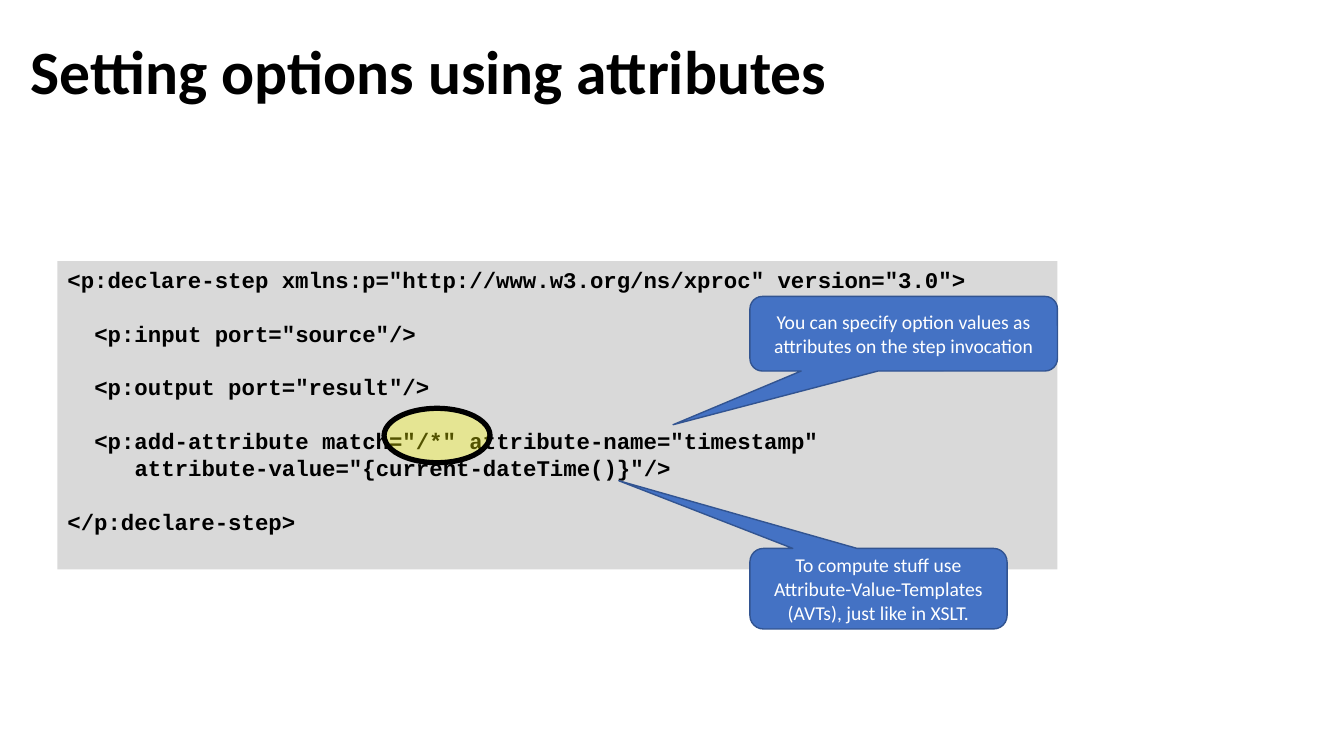
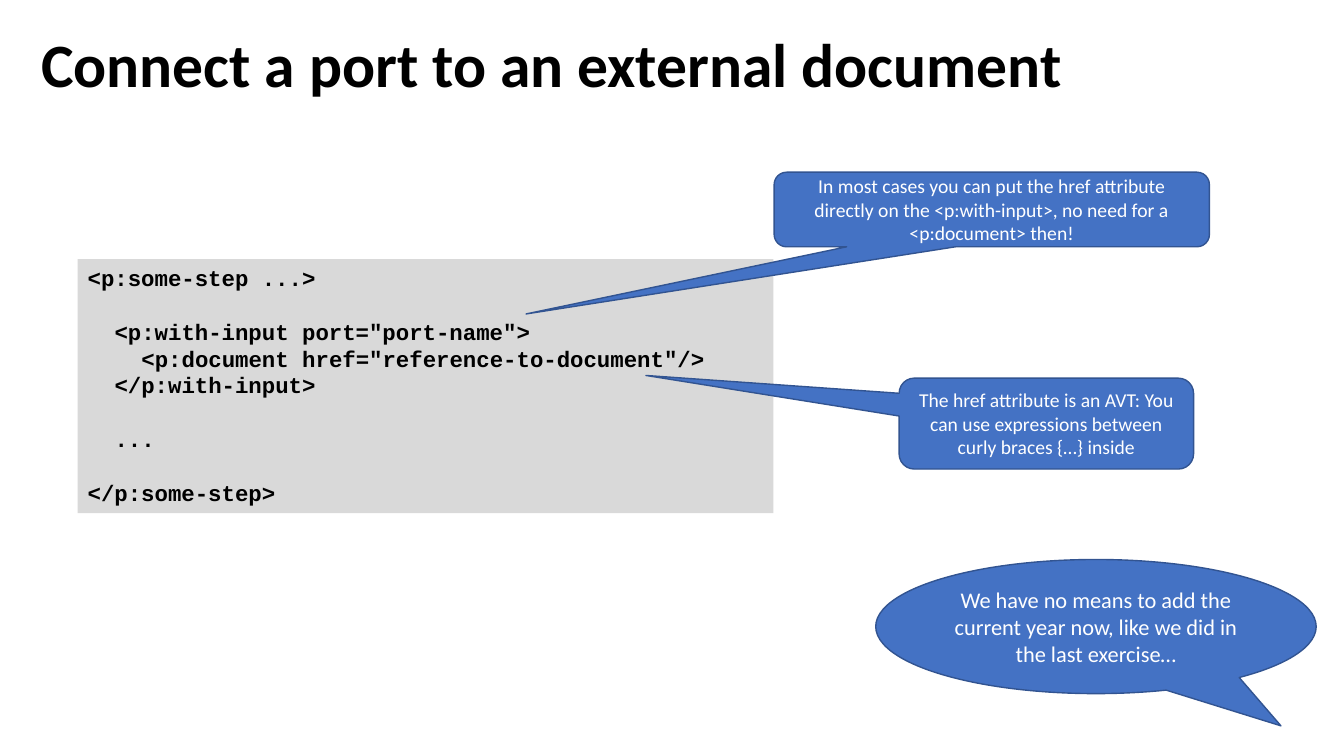
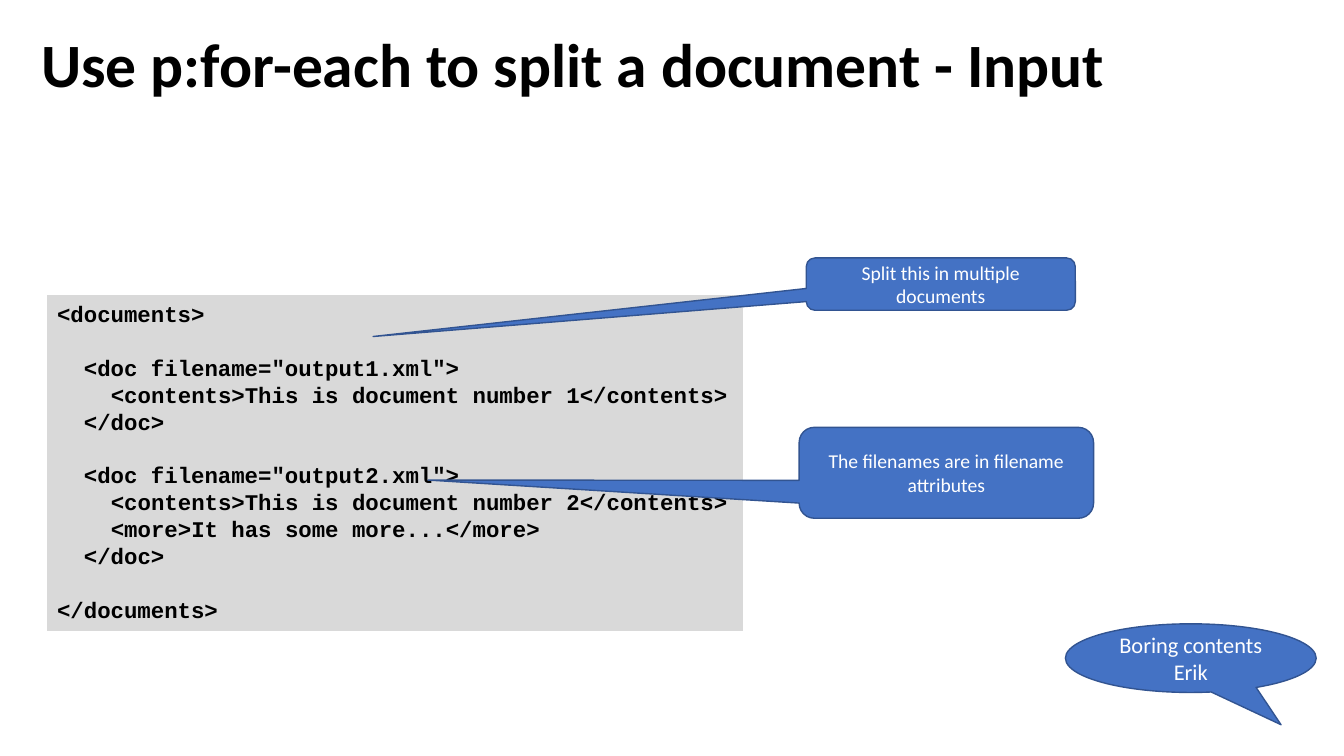
from dataclasses import dataclass
from typing import Any, NamedTuple, Optional

from lxml import etree
from pptx import Presentation
from pptx import slide as sld
from pptx import util as u
from pptx.dml import color
from pptx.enum import shapes, text
from pptx.oxml import ns
from pptx.shapes import autoshape as auto
from pptx.text import text as txt


@dataclass(frozen=True)
class Theme:
    paper: str = "FFFFFF"
    ink: str = "000000"
    code_fill: str = "D9D9D9"
    callout_fill: str = "4472C4"
    callout_line: str = "325491"
    marker: str = "FFFF00"
    marker_opacity: int = 32
    body_font: str = "Calibri"
    code_font: str = "Courier New"
    title_size: float = 44
    code_size: float = 16
    code_leading: float = 19.2
    code_advance: float = 9.6
    note_size: float = 14
    remark_size: float = 16
    thin: float = 1
    thick: float = 3.75


THEME = Theme()
KIND = shapes.MSO_SHAPE
ANCHOR = text.MSO_ANCHOR
ALIGN = text.PP_ALIGN


class Box(NamedTuple):
    left: float
    top: float
    width: float
    height: float

    def lengths(self) -> list[u.Length]:
        return [u.Cm(value) for value in self]


@dataclass(frozen=True)
class Callout:
    box: Box
    tip: tuple[float, float]
    words: str
    kind: Any = KIND.ROUNDED_RECTANGULAR_CALLOUT
    size: float = THEME.note_size


@dataclass(frozen=True)
class Page:
    title: str
    listing: str
    listing_box: Box
    callouts: tuple[Callout, ...]
    title_box: Box = Box(0.79, 0.51, 32.28, 2.39)
    highlight: Optional[Box] = None


PAGES = (
    Page(
        title="Setting options using attributes",
        title_box=Box(0.53, 0.66, 29.21, 2.44),
        listing_box=Box(1.45, 6.58, 25.2, 7.77),
        listing="""\
<p:declare-step xmlns:p="http://www.w3.org/ns/xproc" version="3.0">

  <p:input port="source"/>

  <p:output port="result"/>

  <p:add-attribute match="/*" attribute-name="timestamp"
     attribute-value="{current-dateTime()}"/>

</p:declare-step>""",
        callouts=(
            Callout(Box(18.9, 7.47, 7.75, 1.88), (-0.75, 1.22),
                    "You can specify option values as attributes on the step invocation"),
            Callout(Box(18.9, 13.82, 6.48, 2.03), (-1.01, -1.34),
                    "To compute stuff use Attribute-Value-Templates (AVTs), just like in XSLT."),
        ),
        highlight=Box(9.68, 10.29, 2.67, 1.37),
    ),
    Page(
        title="Connect a port to an external document",
        listing_box=Box(1.96, 6.53, 17.53, 6.4),
        listing="""\
<p:some-step ...>

  <p:with-input port="port-name">
    <p:document href="reference-to-document"/>
  </p:with-input>

  ...

</p:some-step>""",
        callouts=(
            Callout(Box(22.66, 9.53, 7.42, 2.29), (-1.36, -0.53),
                    "The href attribute is an AVT: You can use expressions "
                    "between curly braces {…} inside"),
            Callout(Box(19.51, 4.34, 10.97, 1.88), (-1.07, 1.4),
                    "In most cases you can put the href attribute directly on the "
                    "<p:with-input>, no need for a <p:document> then!"),
            Callout(Box(22.07, 14.1, 11.1, 3.38), (0.42, 0.74),
                    "We have no means to add the current year now, "
                    "like we did in the last exercise…",
                    KIND.OVAL_CALLOUT, THEME.remark_size),
        ),
    ),
    Page(
        title="Use p:for-each to split a document - Input",
        listing_box=Box(1.19, 7.44, 17.53, 8.46),
        listing="""\
<documents>

  <doc filename="output1.xml">
    <contents>This is document number 1</contents>
  </doc>

  <doc filename="output2.xml">
    <contents>This is document number 2</contents>
    <more>It has some more...</more>
  </doc>

</documents>""",
        callouts=(
            Callout(Box(20.14, 10.77, 7.42, 2.29), (-1.76, 0.08),
                    "The filenames are in filename attributes"),
            Callout(Box(20.32, 6.5, 6.78, 1.32), (-2.11, 1),
                    "Split this in multiple documents"),
            Callout(Box(26.85, 15.72, 6.32, 1.73), (0.36, 0.97),
                    "Boring contents Erik", KIND.OVAL_CALLOUT, THEME.remark_size),
        ),
    ),
)


def rgb(value: str) -> color.RGBColor:
    return color.RGBColor.from_string(value)


def apply(target: Any, formats: dict[str, Any]) -> None:
    for name, value in formats.items():
        setattr(target, name, value)


def write(paragraph: txt._Paragraph, words: str, font: str, size: float,
          ink: str, bold: bool = False) -> None:
    run = paragraph.add_run()
    run.text = words
    apply(run.font, {"name": font, "size": u.Pt(size), "bold": bold})
    run.font.color.rgb = rgb(ink)


def draw_shape(slide: sld.Slide, kind: Any, box: Box, fill: str,
               line: Optional[str] = None, weight: float = THEME.thin) -> auto.Shape:
    shape = slide.shapes.add_shape(kind, *box.lengths())
    shape.shadow.inherit = False
    shape.fill.solid()
    shape.fill.fore_color.rgb = rgb(fill)
    if line is None:
        shape.line.fill.background()
    else:
        shape.line.color.rgb = rgb(line)
        shape.line.width = u.Pt(weight)
    return shape


def draw_title(slide: sld.Slide, title: str, box: Box) -> None:
    frame = slide.shapes.add_textbox(*box.lengths()).text_frame
    apply(frame, {"word_wrap": True, "vertical_anchor": ANCHOR.MIDDLE})
    heading = frame.paragraphs[0]
    heading.line_spacing = 0.9
    write(heading, title, THEME.body_font, THEME.title_size, THEME.ink, True)


def draw_listing(slide: sld.Slide, listing: str, box: Box) -> None:
    frame = draw_shape(slide, KIND.RECTANGLE, box, THEME.code_fill).text_frame
    apply(frame, {"word_wrap": True, "vertical_anchor": ANCHOR.TOP})
    row = frame.paragraphs[0]
    gap = 0
    for number, line in enumerate(listing.splitlines()):
        code = line.lstrip()
        if not code:
            gap += THEME.code_leading
            continue
        if number:
            row = frame.add_paragraph()
        apply(row, {"alignment": ALIGN.LEFT, "space_before": u.Pt(gap),
                    "line_spacing": u.Pt(THEME.code_leading)})
        indent = u.Pt((len(line) - len(code)) * THEME.code_advance)
        row._p.get_or_add_pPr().set("marL", str(int(indent)))
        write(row, code, THEME.code_font, THEME.code_size, THEME.ink, True)
        gap = 0


def draw_callout(slide: sld.Slide, callout: Callout) -> None:
    bubble = draw_shape(slide, callout.kind, callout.box,
                        THEME.callout_fill, THEME.callout_line)
    for index, offset in enumerate(callout.tip):
        bubble.adjustments[index] = offset
    frame = bubble.text_frame
    apply(frame, {"word_wrap": True, "vertical_anchor": ANCHOR.MIDDLE})
    remark = frame.paragraphs[0]
    remark.alignment = ALIGN.CENTER
    write(remark, callout.words, THEME.body_font, callout.size, THEME.paper)


def draw_highlight(slide: sld.Slide, box: Box) -> None:
    ring = draw_shape(slide, KIND.OVAL, box, THEME.marker, THEME.ink, THEME.thick)
    tint = ring._element.spPr.find(ns.qn("a:solidFill")).find(ns.qn("a:srgbClr"))
    etree.SubElement(tint, ns.qn("a:alpha")).set("val", str(THEME.marker_opacity * 1000))


def main() -> None:
    deck = Presentation()
    apply(deck, {"slide_width": u.Cm(33.87), "slide_height": u.Cm(19.05)})
    for page in PAGES:
        slide = deck.slides.add_slide(deck.slide_layouts[6])
        draw_title(slide, page.title, page.title_box)
        draw_listing(slide, page.listing, page.listing_box)
        for callout in page.callouts:
            draw_callout(slide, callout)
        if page.highlight:
            draw_highlight(slide, page.highlight)
    deck.save("out.pptx")


if __name__ == "__main__":
    main()
